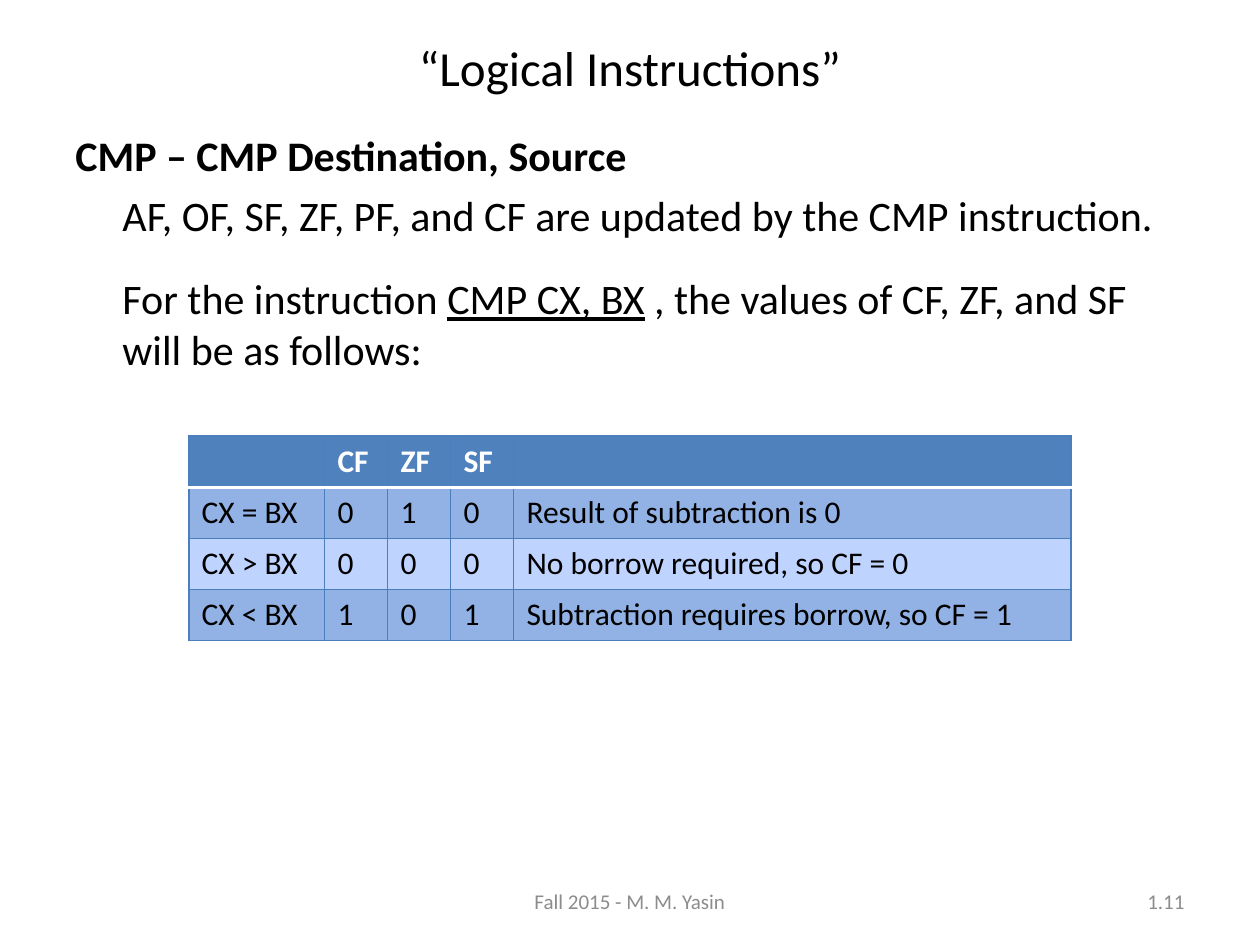
from dataclasses import dataclass

from lxml.etree import SubElement
from pptx import Presentation
from pptx.dml.color import RGBColor
from pptx.enum.text import MSO_ANCHOR, PP_ALIGN
from pptx.oxml.ns import qn
from pptx.util import Cm, Pt


@dataclass(frozen=True)
class Theme:
    font: str = "Calibri"
    ink: str = "000000"
    gray: str = "8C8C8C"
    white: str = "FFFFFF"
    head: str = "4F81BD"
    band: str = "92B2E5"
    pale: str = "BFD3FF"
    edge: str = "4B7EBC"
    title: int = 28
    body: int = 24
    cell: int = 18
    small: int = 12


class Deck:
    def __init__(self, theme, slide):
        self.theme = theme
        self.slide = slide

    def style(self, para, size, color, bold=False):
        font = para.font
        font.name = self.theme.font
        font.size = Pt(size)
        font.bold = bold
        font.color.rgb = RGBColor.from_string(color)

    def box(self, left, top, width, height, anchor):
        shape = self.slide.shapes.add_textbox(Cm(left), Cm(top), Cm(width), Cm(height))
        frame = shape.text_frame
        frame.word_wrap = True
        frame.vertical_anchor = anchor
        return frame

    def footer(self, text, left, width, align):
        para = self.box(left, 17.65, width, 1.02, MSO_ANCHOR.MIDDLE).paragraphs[0]
        para.text = text
        para.alignment = align
        self.style(para, self.theme.small, self.theme.gray)

    def line(self, para, parts, size, gap=0, bold=False, margin=0):
        for text, under in parts:
            run = para.add_run()
            run.text = text
            if under:
                run.font.underline = True
        para.space_before = Pt(gap)
        para._p.get_or_add_pPr().set("marL", str(Cm(margin)))
        self.style(para, size, self.theme.ink, bold)

    def border(self, cell, side, color, width):
        props = cell._tc.get_or_add_tcPr()
        line = SubElement(props, qn(f"a:ln{side}"), w=str(Pt(width)))
        fill = SubElement(line, qn("a:solidFill"))
        SubElement(fill, qn("a:srgbClr"), val=color)

    def table(self, left, top, widths, height, rows):
        theme = self.theme
        frame = self.slide.shapes.add_table(
            len(rows), len(widths), Cm(left), Cm(top),
            Cm(sum(widths)), Cm(height * len(rows)))
        grid = frame.table
        for col, width in zip(grid.columns, widths):
            col.width = Cm(width)
        for r, row in enumerate(rows):
            grid.rows[r].height = Cm(height)
            head = r == 0
            fill = theme.head if head else (theme.band if r % 2 else theme.pale)
            white = {0: "B", 1: "T"}.get(r)
            for c, text in enumerate(row):
                cell = grid.cell(r, c)
                cell.text = text
                para = cell.text_frame.paragraphs[0]
                self.style(para, theme.cell, theme.white if head else theme.ink, head)
                for side in "LRTB":
                    if side == white:
                        self.border(cell, side, theme.white, 2)
                    else:
                        self.border(cell, side, theme.edge, 0.75)
                cell.fill.solid()
                cell.fill.fore_color.rgb = RGBColor.from_string(fill)


def main():
    show = Presentation()
    show.slide_width = Cm(25.4)
    show.slide_height = Cm(19.05)
    theme = Theme()
    deck = Deck(theme, show.slides.add_slide(show.slide_layouts[6]))

    deck.footer("Fall 2015 - M. M. Yasin", 8.68, 8.04, PP_ALIGN.CENTER)
    deck.footer("1.11", 18.2, 5.93, PP_ALIGN.RIGHT)

    frame = deck.box(1.27, 0.64, 22.86, 16.3, MSO_ANCHOR.TOP)
    title = frame.paragraphs[0]
    title.alignment = PP_ALIGN.CENTER
    deck.line(title, [("“Logical Instructions”", False)], theme.title)
    deck.line(frame.add_paragraph(), [("CMP – CMP Destination, Source", False)],
              theme.body, gap=19, bold=True)
    deck.line(frame.add_paragraph(),
              [("AF, OF, SF, ZF, PF, and CF are updated by the CMP instruction.", False)],
              theme.body, gap=5, margin=0.95)
    deck.line(frame.add_paragraph(),
              [("For the instruction ", False), ("CMP CX, BX", True),
               (" , the values of CF, ZF, and SF will be as follows:", False)],
              theme.body, gap=19, margin=0.95)

    deck.table(3.81, 8.79, [2.74, 1.27, 1.27, 1.27, 11.23], 1.03, [
        ["", "CF", "ZF", "SF", ""],
        ["CX = BX", "0", "1", "0", "Result of subtraction is 0"],
        ["CX > BX", "0", "0", "0", "No borrow required, so CF = 0"],
        ["CX < BX", "1", "0", "1", "Subtraction requires borrow, so CF = 1"],
    ])
    show.save("out.pptx")


if __name__ == "__main__":
    main()
